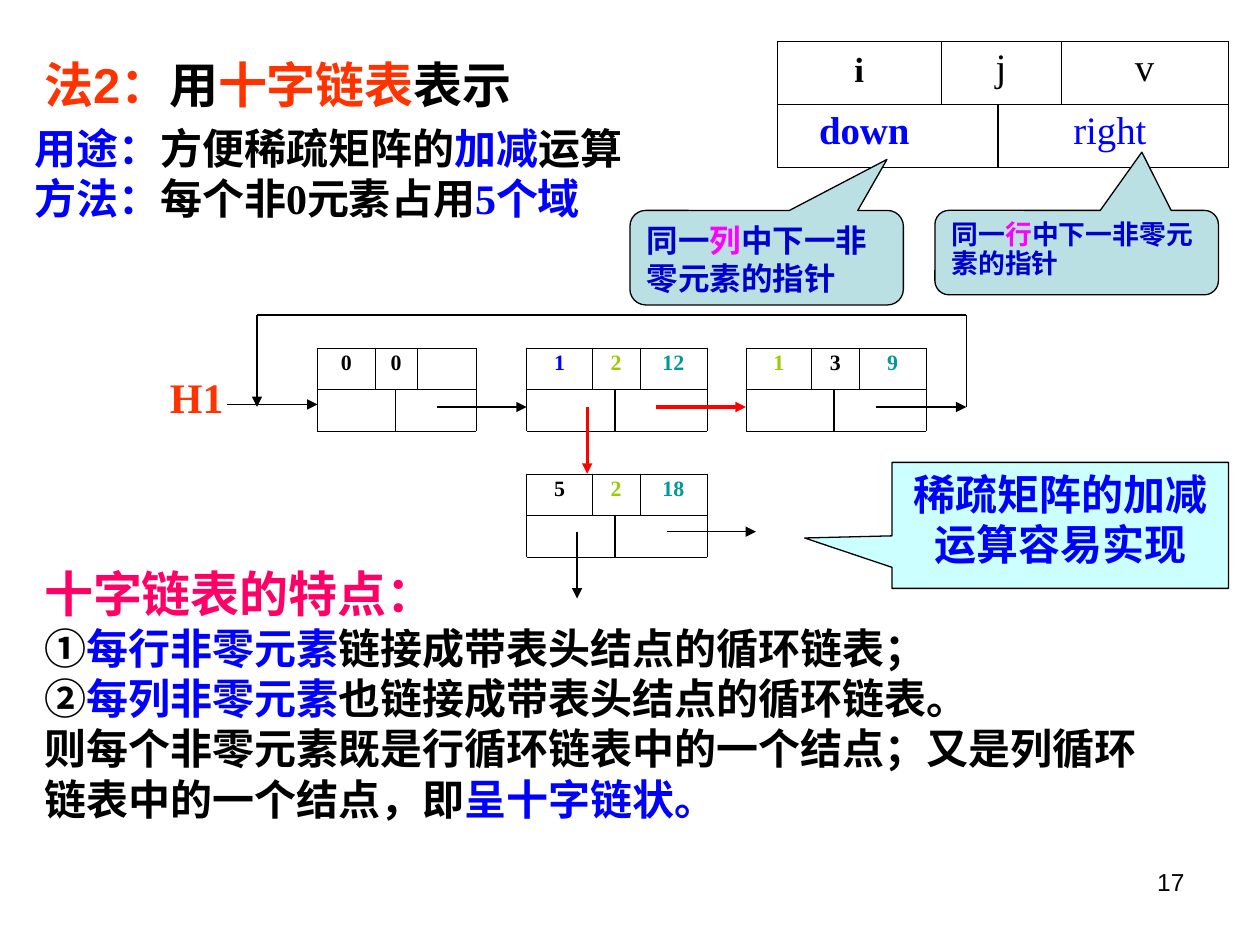
"""Build the slide on orthogonal linked lists for sparse matrices."""
from lxml import etree
from pptx import Presentation
from pptx.dml.color import RGBColor
from pptx.enum.shapes import MSO_CONNECTOR, MSO_SHAPE
from pptx.enum.text import MSO_ANCHOR, MSO_AUTO_SIZE, PP_ALIGN
from pptx.oxml.ns import qn
from pptx.util import Inches, Pt

LEFT, CENTER, RIGHT = PP_ALIGN.LEFT, PP_ALIGN.CENTER, PP_ALIGN.RIGHT
TOP, MIDDLE = MSO_ANCHOR.TOP, MSO_ANCHOR.MIDDLE
FIXED_SIZE = MSO_AUTO_SIZE.NONE
STRAIGHT = MSO_CONNECTOR.STRAIGHT
ROUND_CALLOUT = MSO_SHAPE.ROUNDED_RECTANGULAR_CALLOUT
RECT_CALLOUT = MSO_SHAPE.RECTANGULAR_CALLOUT

BLACK = RGBColor(0x00, 0x00, 0x00)
BLUE = RGBColor(0x00, 0x00, 0xFF)
DARK_BLUE = RGBColor(0x00, 0x00, 0xCC)
RED = RGBColor(0xFF, 0x00, 0x00)
ORANGE = RGBColor(0xFF, 0x33, 0x00)
PINK = RGBColor(0xFF, 0x00, 0x66)
MAGENTA = RGBColor(0xFF, 0x00, 0xFF)
GREEN = RGBColor(0x99, 0xCC, 0x00)
TEAL = RGBColor(0x00, 0x99, 0x99)
PALE_TEAL = RGBColor(0xBB, 0xE0, 0xE3)
PALE_CYAN = RGBColor(0xCC, 0xFF, 0xFF)

SERIF, SANS, CJK = "Times New Roman", "Arial", "Noto Sans CJK SC"
CJK_PITCH = 1.2


def write(frame, *paragraphs, size, first_size=None, font=SERIF, bold=True,
          align=LEFT, anchor=TOP, spacing=None, wrap=True):
    """Fill a text frame with paragraphs, each a list of (text, colour) runs."""
    frame.auto_size = FIXED_SIZE
    frame.word_wrap = wrap
    frame.vertical_anchor = anchor
    for index, runs in enumerate(paragraphs):
        paragraph = frame.add_paragraph() if index else frame.paragraphs[0]
        points = first_size if first_size and not index else size
        paragraph.alignment = align
        paragraph.space_before = Pt(0)
        paragraph.line_spacing = spacing or Pt(round(points * CJK_PITCH, 1))
        for text, color in runs:
            run = paragraph.add_run()
            run.text = text
            run.font.size = Pt(points)
            run.font.bold = bold
            run.font.name = font
            run.font.color.rgb = color
            east_asian = etree.SubElement(run.font._element, qn("a:ea"))
            east_asian.set("typeface", CJK)


def place(shape, left, top, width, height):
    """Move and size a placeholder, given inches."""
    shape.left, shape.top = Inches(left), Inches(top)
    shape.width, shape.height = Inches(width), Inches(height)


def remove_bullets(frame):
    """Turn off bullets and hanging indents in a text frame."""
    for paragraph in frame.paragraphs:
        properties = paragraph._p.get_or_add_pPr()
        properties.set("marL", "0")
        properties.set("indent", "0")
        etree.SubElement(properties, qn("a:buNone"))


def add_label(slide, left, top, width, height, text, color, indent=0.1, **style):
    """Add a one-line text box."""
    label = slide.shapes.add_textbox(
        Inches(left), Inches(top), Inches(width), Inches(height))
    label.text_frame.margin_left = Inches(indent)
    write(label.text_frame, [(text, color)], **style)


def add_line(slide, start, end, color=BLACK, weight=0.75, arrow=False):
    """Draw a straight line, with an arrowhead at its end if asked."""
    line = slide.shapes.add_connector(
        STRAIGHT, *(Inches(value) for value in (*start, *end)))
    line.line.color.rgb = color
    line.line.width = Pt(weight)
    if arrow:
        head = etree.SubElement(line.line._get_or_add_ln(), qn("a:tailEnd"))
        head.set("type", "triangle")
    etree.SubElement(line._element.spPr, qn("a:effectLst"))


def add_callout(slide, kind, box, pointer, fill, runs, **style):
    """Add a callout whose tip lies at the pointer offsets."""
    callout = slide.shapes.add_shape(kind, *(Inches(value) for value in box))
    callout.adjustments[0], callout.adjustments[1] = pointer
    callout.shadow.inherit = False
    callout.fill.solid()
    callout.fill.fore_color.rgb = fill
    callout.line.color.rgb = BLACK
    callout.line.width = Pt(0.75)
    write(callout.text_frame, runs, **style)


def add_node_frame(slide, left, top, widths, row, split):
    """Draw a node: a row of fields above a row of two pointers."""
    right, middle, bottom = left + sum(widths), top + row, top + 2 * row
    for y in (top, middle, bottom):
        add_line(slide, (left, y), (right, y), weight=0.25)
    for x in (left, right):
        add_line(slide, (x, top), (x, bottom), weight=0.25)
    for count in range(1, len(widths)):
        x = left + sum(widths[:count])
        add_line(slide, (x, top), (x, middle), weight=0.25)
    add_line(slide, (left + split, middle), (left + split, bottom))


def add_list_node(slide, left, top, widths, split, fields):
    """Add a linked-list node with its field values."""
    row = 0.33
    add_node_frame(slide, left, top, widths, row, split)
    for index, (value, color) in enumerate(fields):
        add_label(slide, left + sum(widths[:index]), top, widths[index], row,
                  value, color, size=12.5, align=CENTER, spacing=0.8)


def add_node_layout(slide):
    """Show the five fields of a node and explain both pointers."""
    add_node_frame(slide, 6.17, 0.33, (1.3, 0.95, 1.33), 0.5, 1.75)
    add_label(slide, 6.17, 0.33, 1.3, 0.5, "i", BLACK,
              size=20, align=CENTER, spacing=1.0)
    for left, width, name in ((7.47, 0.95, "j"), (8.42, 1.33, "v")):
        add_label(slide, left, 0.33, width, 0.5, name, BLACK,
                  size=22.2, bold=False, align=CENTER, spacing=0.9)
    add_label(slide, 6.17, 0.83, 2.25, 0.5, "down", BLUE, indent=0.33,
              size=22.2, spacing=0.9)
    add_label(slide, 8.42, 0.83, 1.33, 0.5, "right", BLUE,
              size=22.2, bold=False, spacing=0.9)
    for box, pointer, direction, size, spacing in (
            ((5, 1.67, 2.17, 0.75), (0.44, -1.04), "列", 18, None),
            ((7.42, 1.67, 2.25, 0.67), (0.23, -1.19), "行", 15.3, Pt(16.6))):
        runs = [("同一", DARK_BLUE), (direction, MAGENTA),
                ("中下一非零元素的指针", DARK_BLUE)]
        add_callout(slide, ROUND_CALLOUT, box, pointer, PALE_TEAL, runs,
                    size=size, spacing=spacing)


def add_linked_list(slide):
    """Draw the circular row list, its column links and its head pointer."""
    widths, split = (0.52, 0.38, 0.53), 0.7
    add_list_node(slide, 2.52, 2.76, (0.46, 0.33, 0.47), 0.62,
                  [("0", BLACK), ("0", BLACK)])
    for left, top, fields in (
            (4.18, 2.76, [("1", BLUE), ("2", GREEN), ("12", TEAL)]),
            (5.92, 2.76, [("1", GREEN), ("3", BLACK), ("9", TEAL)]),
            (4.18, 3.76, [("5", BLACK), ("2", GREEN), ("18", TEAL)])):
        add_list_node(slide, left, top, widths, split, fields)
    add_label(slide, 1.25, 2.9, 0.62, 0.5, "H1", ORANGE,
              size=24, spacing=1.0, wrap=False)
    for start, end in (((1.8, 3.21), (2.52, 3.21)), ((3.47, 3.23), (4.18, 3.23)),
                       ((6.95, 3.23), (7.67, 3.23)), ((2.04, 2.5), (2.04, 3.23)),
                       ((4.58, 4.22), (4.58, 4.75)), ((5.29, 4.22), (6, 4.22))):
        add_line(slide, start, end, arrow=True)
    for start, end in (((5.21, 3.23), (5.92, 3.23)), ((4.66, 3.23), (4.66, 3.76))):
        add_line(slide, start, end, RED, 1.75, arrow=True)
    add_line(slide, (7.67, 3.23), (7.67, 2.5))
    add_line(slide, (7.67, 2.5), (2.04, 2.5))


def main():
    """Assemble and save the slide."""
    deck = Presentation()
    deck.slide_width, deck.slide_height = Inches(10), Inches(7.5)
    slide = deck.slides.add_slide(deck.slide_layouts[3])
    title, purpose, features = slide.placeholders

    place(title, 0.25, 0.33, 4.5, 0.67)
    write(title.text_frame, [("法2：", ORANGE), ("用", BLACK),
                             ("十字链表", ORANGE), ("表示", BLACK)],
          size=28, font=SANS, anchor=MIDDLE)
    place(purpose, 0.17, 0.92, 5.25, 0.9)
    write(purpose.text_frame,
          [("用途：", BLUE), ("方便稀疏矩阵的", BLACK), ("加减", BLUE), ("运算", BLACK)],
          [("方法：", BLUE), ("每个非0元素占用", BLACK), ("5个域", BLUE)], size=24)
    place(features, 0.25, 4.42, 9, 2.17)
    write(features.text_frame,
          [("十字链表的特点：", PINK)],
          [("①", BLACK), ("每行非零元素", BLUE), ("链接成带表头结点的循环链表；", BLACK)],
          [("②", BLACK), ("每列非零元素", BLUE), ("也链接成带表头结点的循环链表。", BLACK)],
          [("则每个非零元素既是行循环链表中的一个结点；又是列循环链表中的一个结点，即", BLACK),
           ("呈十字链状。", BLUE)], size=24, first_size=28)
    for body in (purpose, features):
        remove_bullets(body.text_frame)

    add_node_layout(slide)
    add_linked_list(slide)
    add_callout(slide, RECT_CALLOUT, (7.08, 3.67, 2.67, 1), (-0.76, 0.1), PALE_CYAN,
                [("稀疏矩阵的加减运算容易实现", BLUE)], size=24, align=CENTER)
    add_label(slide, 7.17, 6.83, 2.33, 0.52, "17", BLACK,
              size=14, font=SANS, bold=False, align=RIGHT, spacing=1.0)
    deck.save("out.pptx")


if __name__ == "__main__":
    main()
